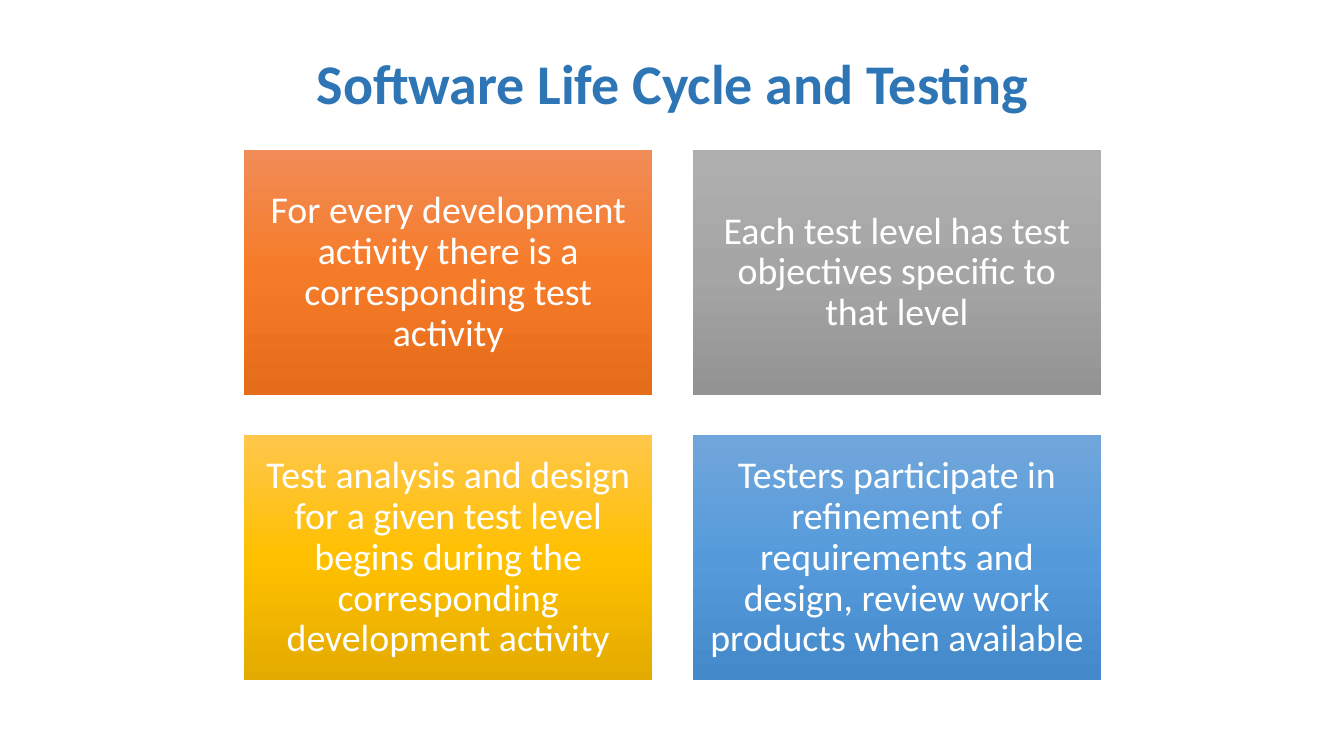
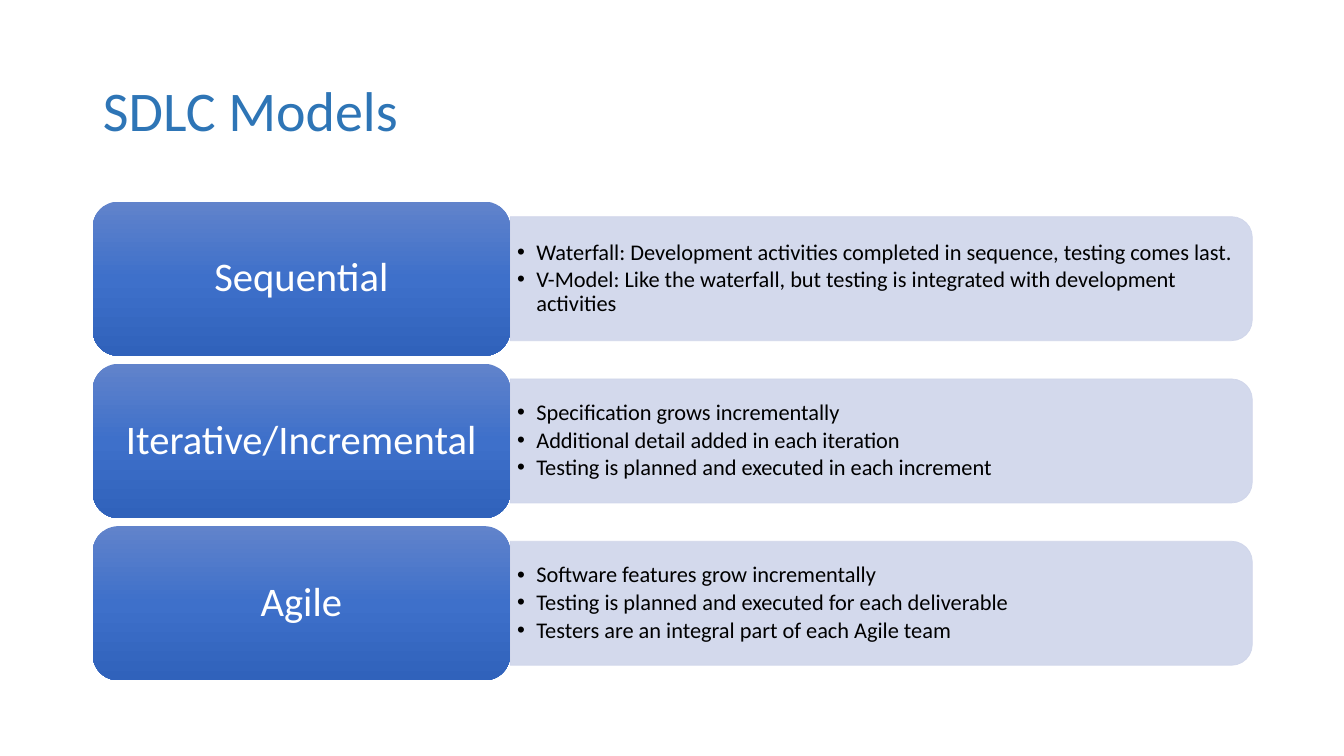
from copy import deepcopy

from lxml.etree import SubElement
from pptx import Presentation
from pptx.dml.color import RGBColor
from pptx.enum.shapes import MSO_SHAPE
from pptx.enum.text import MSO_ANCHOR, MSO_AUTO_SIZE, PP_ALIGN
from pptx.oxml.ns import qn
from pptx.util import Inches, Pt

FONT = "Calibri"
TITLE, WHITE, BLACK, PANEL = "2E75B6", "FFFFFF", "000000", "CFD5EA"
ORANGE = ("F18C57", "F67B28", "E56C19")
GRAY = ("AFAFAF", "A5A5A5", "939393")
GOLD = ("FFC64B", "FFC000", "E3AB00")
SKY = ("71A6DB", "559BDB", "448ACA")
BLUE = ("6183CB", "3E70CA", "3062BB")

PRINCIPLES = [
    ("For every development activity there is a corresponding test activity", ORANGE),
    ("Each test level has test objectives specific to that level", GRAY),
    ("Test analysis and design for a given test level begins during the "
     "corresponding development activity", GOLD),
    ("Testers participate in refinement of requirements and design, review work "
     "products when available", SKY),
]
MODELS = [
    ("Sequential", [
        "Waterfall: Development activities completed in sequence, testing comes last.",
        "V-Model: Like the waterfall, but testing is integrated with development activities",
    ]),
    ("Iterative/Incremental", [
        "Specification grows incrementally",
        "Additional detail added in each iteration",
        "Testing is planned and executed in each increment",
    ]),
    ("Agile", [
        "Software features grow incrementally",
        "Testing is planned and executed for each deliverable",
        "Testers are an integral part of each Agile team",
    ]),
]

MARGIN, CONTENT_W = 0.92, 11.5
CARD_W, CARD_H, CARD_GAP, CARD_LEFT, CARD_TOP = 4.05, 2.43, 0.4, 2.42, 1.49
ROW_TOP, ROW_H, ROW_GAP = 2, 1.53, 0.08
LABEL_W, PANEL_H = 4.14, 1.23


def rgb(color):
    return RGBColor.from_string(color)


def inches(*lengths):
    return [Inches(n) for n in lengths]


def write(tf, lines, size, color, align, inset=(0.1, 0.05), bold=False, bullet=False):
    tf.word_wrap = True
    tf.auto_size = MSO_AUTO_SIZE.NONE
    tf.vertical_anchor = MSO_ANCHOR.MIDDLE
    tf.margin_left = tf.margin_right = Inches(inset[0])
    tf.margin_top = tf.margin_bottom = Inches(inset[1])
    for i, line in enumerate(lines):
        p = tf.add_paragraph() if i else tf.paragraphs[0]
        p.alignment = align
        p.line_spacing = 0.9
        r = p.add_run()
        r.text = line
        r.font.name, r.font.size, r.font.bold = FONT, Pt(size), bold
        r.font.color.rgb = rgb(color)
        if bullet:
            p.space_after = Pt(0.15 * size)
            pPr = p._p.get_or_add_pPr()
            pPr.set("marL", str(Inches(0.19)))
            pPr.set("indent", str(-Inches(0.19)))
            SubElement(pPr, qn("a:buFont"), typeface="Arial")
            SubElement(pPr, qn("a:buChar"), char="•")


def add_titled_slide(prs, title, top, align, bold):
    s = prs.slides.add_slide(prs.slide_layouts[5])
    sp = s.shapes.title
    sp.left, sp.top, sp.width, sp.height = inches(MARGIN, top, CONTENT_W, 1.45)
    write(sp.text_frame, [title], 40, TITLE, align, bold=bold)
    return s


def add_gradient_box(s, kind, box, colors, text, size, inset):
    sp = s.shapes.add_shape(kind, *inches(*box))
    sp.shadow.inherit = False
    sp.line.fill.background()
    sp.fill.gradient()
    sp.fill.gradient_angle = 270
    stops = sp._element.spPr.find(".//" + qn("a:gsLst"))
    stops.insert(1, deepcopy(stops[0]))
    for stop, position, color in zip(sp.fill.gradient_stops, (0, 0.5, 1), colors):
        stop.position = position
        stop.color.rgb = rgb(color)
    write(sp.text_frame, [text], size, WHITE, PP_ALIGN.CENTER, inset)


def add_panel(s, left, top, width, height):
    """Add a translucent panel, rounded on its right by a quarter turn."""
    sp = s.shapes.add_shape(
        MSO_SHAPE.ROUND_2_SAME_RECTANGLE,
        *inches(left + (width - height) / 2, top + (height - width) / 2, height, width))
    sp.rotation = 90
    sp.shadow.inherit = False
    sp.fill.solid()
    sp.fill.fore_color.rgb = sp.line.color.rgb = rgb(PANEL)
    sp.line.width = Pt(0.5)
    for clr in sp._element.spPr.iter(qn("a:srgbClr")):
        SubElement(clr, qn("a:alpha"), val="90000")


def build_principles(prs):
    s = add_titled_slide(prs, "Software Life Cycle and Testing", 0.13,
                         PP_ALIGN.CENTER, True)
    for i, (text, colors) in enumerate(PRINCIPLES):
        row, col = divmod(i, 2)
        box = (CARD_LEFT + col * (CARD_W + CARD_GAP),
               CARD_TOP + row * (CARD_H + CARD_GAP), CARD_W, CARD_H)
        add_gradient_box(s, MSO_SHAPE.RECTANGLE, box, colors, text, 27, (0.11, 0.11))


def build_models(prs):
    s = add_titled_slide(prs, "SDLC Models", 0.4, PP_ALIGN.LEFT, False)
    left, width = MARGIN + LABEL_W, CONTENT_W - LABEL_W
    for i, (name, points) in enumerate(MODELS):
        top = ROW_TOP + i * (ROW_H + ROW_GAP)
        panel_top = top + (ROW_H - PANEL_H) / 2
        add_panel(s, left, panel_top, width, PANEL_H)
        tb = s.shapes.add_textbox(*inches(left, panel_top + 0.06, width - 0.06,
                                          PANEL_H - 0.12))
        write(tb.text_frame, points, 16, BLACK, PP_ALIGN.LEFT, (0.07, 0.03), bullet=True)
        add_gradient_box(s, MSO_SHAPE.ROUNDED_RECTANGLE, (MARGIN, top, LABEL_W, ROW_H),
                         BLUE, name, 29, (0.12, 0.06))


def main():
    prs = Presentation()
    prs.slide_width, prs.slide_height = inches(13.33, 7.5)
    build_principles(prs)
    build_models(prs)
    prs.save("out.pptx")


if __name__ == "__main__":
    main()
